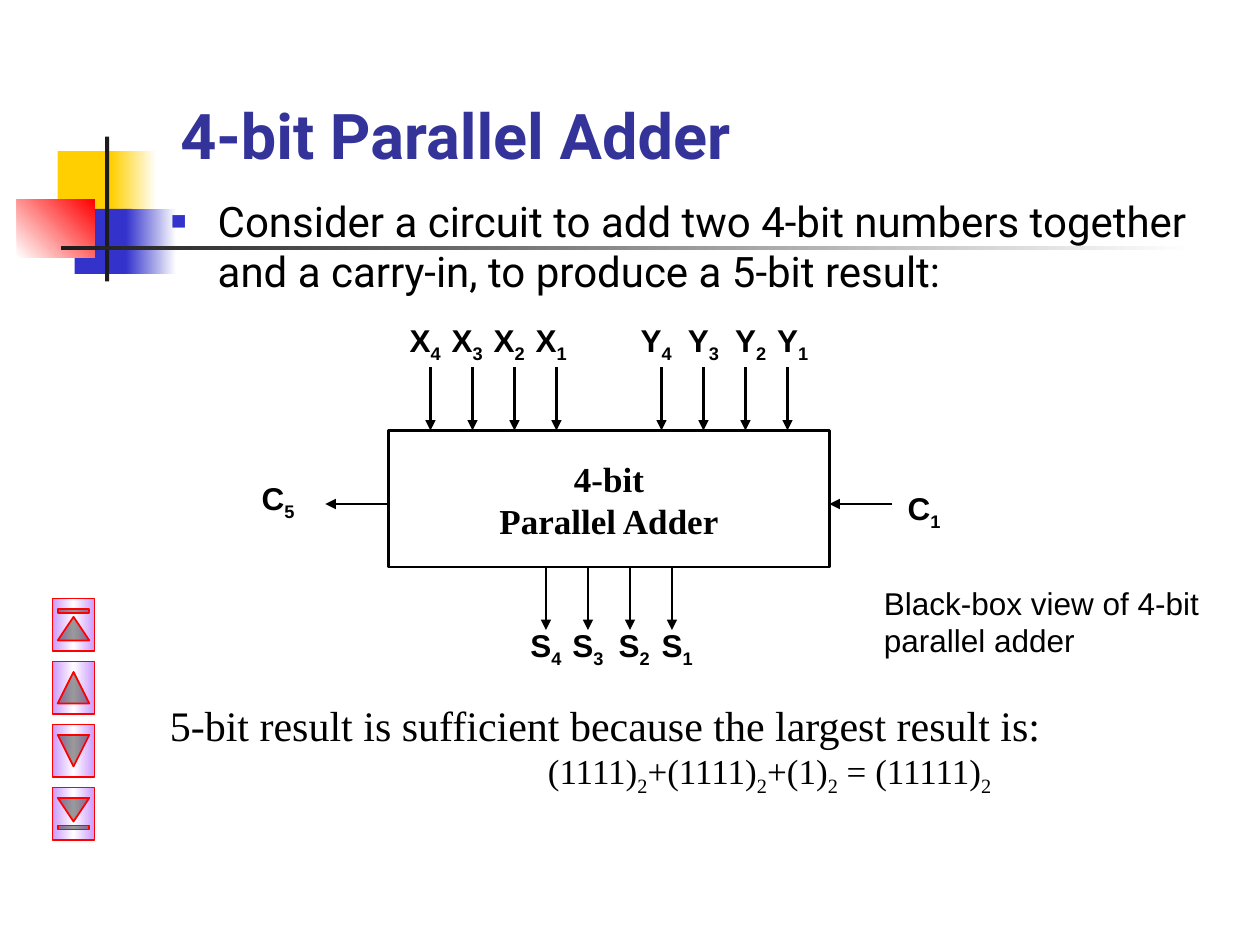
"""Build the 4-bit parallel adder slide on a grid of 120 columns by 90 rows."""
from copy import deepcopy

from pptx import Presentation
from pptx.dml.color import RGBColor
from pptx.enum.shapes import MSO_CONNECTOR, MSO_SHAPE
from pptx.enum.text import MSO_ANCHOR, PP_ALIGN
from pptx.oxml.ns import qn
from pptx.oxml.xmlchemy import OxmlElement
from pptx.util import Inches, Pt

RECT, LINE = MSO_SHAPE.RECTANGLE, MSO_CONNECTOR.STRAIGHT
BUTTONS = (MSO_SHAPE.ACTION_BUTTON_BEGINNING, MSO_SHAPE.ACTION_BUTTON_BACK_OR_PREVIOUS,
           MSO_SHAPE.ACTION_BUTTON_FORWARD_OR_NEXT, MSO_SHAPE.ACTION_BUTTON_END)
LEFT, CENTER, BOTTOM = PP_ALIGN.LEFT, PP_ALIGN.CENTER, MSO_ANCHOR.BOTTOM
C = {"black": "000000", "white": "FFFFFF", "ink": "1C1C1C", "yellow": "FFCF01",
     "blue": "3333CC", "red": "FF0000", "title": "333399", "lilac": "CC99FF"}

prs = Presentation()
prs.slide_width, prs.slide_height = Inches(10), Inches(7.5)
U = prs.slide_width / 120
s = prs.slides.add_slide(prs.slide_layouts[6])


def add_block(kind, box, colors, angle=0):
    sp = s.shapes.add_shape(kind, *[round(v * U) for v in box])
    sp.shadow.inherit = False
    sp.line.fill.background()
    if len(colors) == 1:
        sp.fill.solid()
        sp.fill.fore_color.rgb = RGBColor.from_string(C[colors[0]])
    elif colors:
        sp.fill.gradient()
        sp.fill.gradient_angle = angle
        stops = sp._element.spPr.find(".//" + qn("a:gsLst"))
        for _ in colors[2:]:
            stops.append(deepcopy(stops[-1]))
        for i, (stop, color) in enumerate(zip(sp.fill.gradient_stops, colors)):
            stop.position = i / (len(colors) - 1)
            stop.color.rgb = RGBColor.from_string(C[color])
    else:
        sp.fill.background()
    return sp


def add_text(box, lines, font, size, color="black", bold=False, align=LEFT):
    tf = s.shapes.add_textbox(*[round(v * U) for v in box]).text_frame
    tf.word_wrap = True
    for i, runs in enumerate(lines):
        p = tf.add_paragraph() if i else tf.paragraphs[0]
        p.alignment = align
        for j, text in enumerate(runs):
            r = p.add_run()
            r.text = text
            r.font.name, r.font.size, r.font.bold = font, Pt(size), bold
            r.font.color.rgb = RGBColor.from_string(C[color])
            if j % 2:
                r.font._element.set("baseline", "-25000")
    return tf


for box, colors, angle in [
    ((5.5, 14.4, 5.8, 6.2), ["yellow"], 0),
    ((10.6, 14.4, 4.3, 6.2), ["yellow", "white"], 0),
    ((7.1, 19.9, 5.5, 6.2), ["blue"], 0),
    ((12, 19.9, 4.8, 6.2), ["blue", "white"], 0),
    ((1.6, 19, 7.4, 5.5), ["white", "red"], 45),
    ((10, 13, 0.4, 13.8), ["ink"], 0),
    ((5.8, 23.4, 108, 0.4), ["ink", "white"], 0),
]:
    add_block(RECT, box, colors, angle)

tf = add_text((16, 2, 102, 15), [["4-bit Parallel Adder"]], "Roboto", 36, "title", True)
tf.vertical_anchor = BOTTOM

tf = add_text((15, 18, 102, 12),
              [["Consider a circuit to add two 4-bit numbers together "
                "and a carry-in, to produce a 5-bit result:"]], "Roboto", 24)
pPr = tf.paragraphs[0]._p.get_or_add_pPr()
pPr.set("marL", str(Inches(0.38)))
pPr.set("indent", str(-Inches(0.38)))
buClr = OxmlElement("a:buClr")
for parent, tag, key, value in [(buClr, "a:srgbClr", "val", C["blue"]),
                                (pPr, "a:buSzPct", "val", "120000"),
                                (pPr, "a:buFont", "typeface", "Arial"),
                                (pPr, "a:buChar", "char", "▪")]:
    el = OxmlElement(tag)
    el.set(key, value)
    parent.append(el)
pPr.insert(0, buClr)

adder = add_block(RECT, (37, 41, 42, 13), [])
adder.line.color.rgb = RGBColor.from_string(C["black"])
adder.line.width = Pt(1.5)
add_text((44, 43, 28, 9.2), [["4-bit"], ["Parallel Adder"]],
         "Times New Roman", 20, bold=True, align=CENTER)

labels = [("C", "5", 21, 45, 11), ("C", "1", 84, 46, 8)]
arrows = [(37, 48, 31, 48), (85, 48, 79, 48)]
for name, first, label_row, start, lefts, width in [
    ("X", 41, 30, 35, (37, 41, 45, 49), 7),
    ("Y", 63, 30, 35, (59, 63.5, 68, 72), 7),
    ("S", 52, 59, 54, (49, 53, 57.4, 61.5), 6),
]:
    for i, left in enumerate(lefts):
        labels.append((name, str(4 - i), left, label_row, width))
        arrows.append((first + 4 * i, start, first + 4 * i, start + 6))

for name, index, left, top, width in labels:
    add_text((left, top, width, 5.3), [[name, index]], "Arial", 18, bold=True, align=CENTER)

for ends in arrows:
    cx = s.shapes.add_connector(LINE, *[round(v * U) for v in ends])
    cx.line.color.rgb = RGBColor.from_string(C["black"])
    cx.line.width = Pt(1.25)
    tail = OxmlElement("a:tailEnd")
    tail.set("type", "triangle")
    cx.line._get_or_add_ln().append(tail)
    cx._element.spPr.append(OxmlElement("a:effectLst"))

add_text((83, 55, 33, 8.4), [["Black-box view of 4-bit parallel adder"]], "Arial", 18)

tf = add_text((15, 66, 102, 13),
              [["5-bit result is sufficient because the largest result is:"],
               ["(1111)", "2", "+(1111)", "2", "+(1)", "2", " = (11111)", "2"]],
              "Times New Roman", 24)
p = tf.paragraphs[1]
p._p.get_or_add_pPr().set("marL", str(Inches(3)))
for r in p.runs:
    r.font.size = Pt(20)

for i, kind in enumerate(BUTTONS):
    sp = add_block(kind, (4.5, 57.5 + 6 * i, 5, 4), ["lilac", "white", "lilac"], 270)
    sp.rotation = 90
    sp.line.color.rgb = RGBColor.from_string(C["red"])
    sp.line.width = Pt(1)

prs.save("out.pptx")
